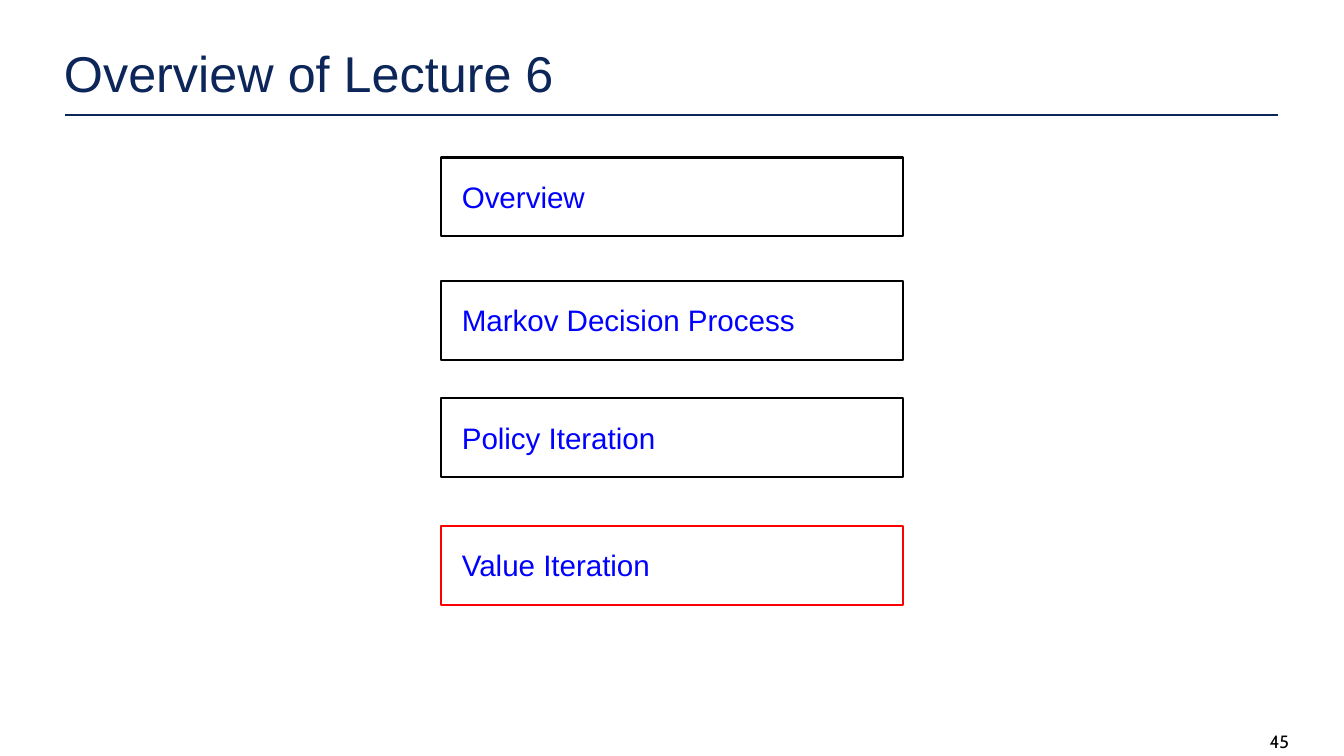
from lxml import etree
from pptx import Presentation
from pptx.dml.color import RGBColor
from pptx.enum.shapes import MSO_CONNECTOR, MSO_SHAPE
from pptx.enum.text import MSO_ANCHOR, MSO_AUTO_SIZE, PP_ALIGN
from pptx.oxml.ns import qn
from pptx.util import Inches, Pt

RECT = MSO_SHAPE.RECTANGLE
LINE = MSO_CONNECTOR.STRAIGHT
TOP = MSO_ANCHOR.TOP
LEFT = PP_ALIGN.LEFT
FIXED = MSO_AUTO_SIZE.NONE

WIDTH, HEIGHT = Inches(6.31), Inches(3.55)
COLORS = {"navy": "0C2659", "blue": "0000FF", "red": "FF0000", "black": "000000"}
STROKE = Pt(0.75)

# Topic, top edge in percent of the height, outline colour
TOPICS = [
    ("Overview", 20.85, "black"),
    ("Markov Decision Process", 37.18, "black"),
    ("Policy Iteration", 52.68, "black"),
    ("Value Iteration", 69.58, "red"),
]


def color(name):
    return RGBColor.from_string(COLORS[name])


def area(left, top, width, height):
    """Turn percentages of the slide into lengths."""
    return [round(part * side / 100) for part, side in
            zip((left, top, width, height), (WIDTH, HEIGHT, WIDTH, HEIGHT))]


def write(shape, text, size, font, ink, insets):
    """Fill a shape with one run; insets are left, top, right, bottom in inches."""
    frame = shape.text_frame
    frame.word_wrap = True
    frame.auto_size = FIXED
    frame.vertical_anchor = TOP
    (frame.margin_left, frame.margin_top,
     frame.margin_right, frame.margin_bottom) = map(Inches, insets)
    para = frame.paragraphs[0]
    para.alignment = LEFT
    run = para.add_run()
    run.text = text
    run.font.size = Pt(size)
    run.font.name = font
    run.font.color.rgb = color(ink)
    return para


def add_title(slide, text):
    title = slide.shapes.title
    title.left, title.top, title.width, title.height = area(4.6, 5.07, 66.72, 8.45)
    write(title, text, 17, "Arial", "navy", (0.01, 0.02, 0, 0))


def add_rule(slide):
    left, top, right, low = area(4.85, 15.21, 95.09, 15.21)
    rule = slide.shapes.add_connector(LINE, left, top, right, low)
    rule.line.color.rgb = color("navy")
    rule.line.width = STROKE
    etree.SubElement(rule._element.spPr, qn("a:effectLst"))


def add_topic(slide, text, top, edge):
    box = slide.shapes.add_shape(RECT, *area(32.81, top, 34.39, 10.42))
    box.shadow.inherit = False
    box.fill.background()
    box.line.color.rgb = color(edge)
    box.line.width = STROKE
    write(box, text, 10, "Arial", "blue", (0.1, 0.1, 0.1, 0.1))


def add_number(slide, text):
    box = slide.shapes.add_textbox(*area(93.82, 96.34, 4.91, 2.82))
    para = write(box, text, 6, "Cabin", "black", (0.04, 0, 0, 0))
    para.line_spacing = 1.12


def main():
    deck = Presentation()
    deck.slide_width, deck.slide_height = WIDTH, HEIGHT
    slide = deck.slides.add_slide(deck.slide_layouts.get_by_name("Title Only"))
    add_title(slide, "Overview of Lecture 6")
    add_rule(slide)
    for topic in TOPICS:
        add_topic(slide, *topic)
    add_number(slide, "45")
    deck.save("out.pptx")


if __name__ == "__main__":
    main()
